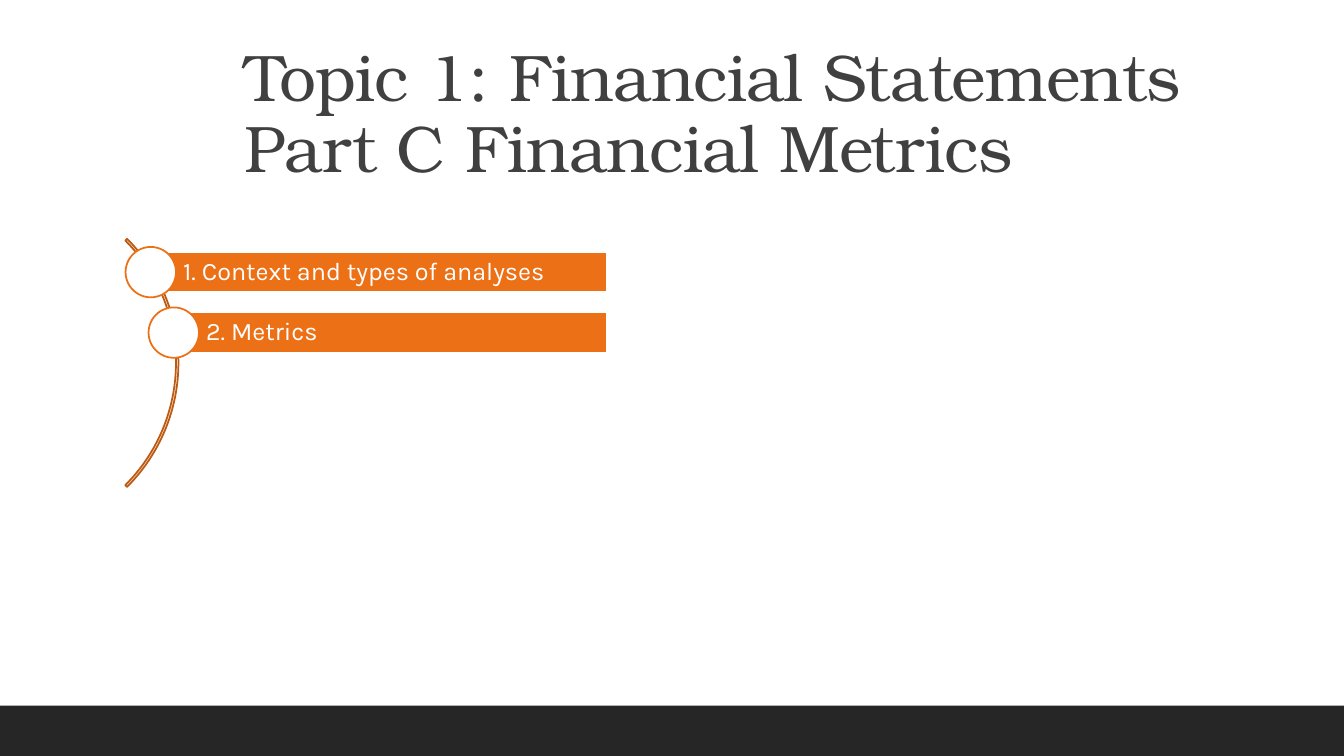
"""Build the agenda slide for Topic 1, Part C."""
from math import sqrt

from pptx import Presentation
from pptx.dml.color import RGBColor
from pptx.enum.shapes import MSO_SHAPE
from pptx.enum.text import MSO_ANCHOR, PP_ALIGN
from pptx.util import Inches, Pt

COLORS = {
    "footer": "262626",
    "title": "404040",
    "arc": "BD5A12",
    "bar": "EC7016",
    "white": "FFFFFF",
}
TITLE_FONT = "TeX Gyre Bonum"
BODY_FONT = "Karla"
TITLE_LINES = ["Topic 1: Financial Statements", "Part C Financial Metrics"]
TOPICS = ["1. Context and types of analyses", "2. Metrics"]

COLUMNS, ROWS = 133.3, 75
CELL = Inches(0.1)
ARC_X, ARC_Y, ARC_RADIUS, RAIL_RADIUS = 0.3, 36, 17.4, 17.2
FIRST_ROW, ROW_STEP = 27, 6
BAR_RIGHT, BAR_HEIGHT, MARKER_SIZE = 60.2, 4, 5


def grid(*cells):
    """Turn grid columns and rows into slide lengths."""
    return [round(cell * CELL) for cell in cells]


def color(name):
    """Look up a named colour."""
    return RGBColor.from_string(COLORS[name])


def add_figure(slide, preset, box, fill=None, line=None):
    """Add a flat preset shape with an optional fill and outline."""
    figure = slide.shapes.add_shape(preset, *grid(*box))
    figure.shadow.inherit = False
    if fill:
        figure.fill.solid()
        figure.fill.fore_color.rgb = color(fill)
    else:
        figure.fill.background()
    if line:
        figure.line.color.rgb = color(line)
        figure.line.width = Pt(1.25)
    else:
        figure.line.fill.background()
    return figure


def write_lines(frame, lines, anchor, font_name, size, ink):
    """Write lines into one left-aligned paragraph and return its runs."""
    frame.word_wrap = True
    frame.vertical_anchor = anchor
    paragraph = frame.paragraphs[0]
    paragraph.alignment = PP_ALIGN.LEFT
    paragraph.line_spacing = 0.9
    for index, line in enumerate(lines):
        if index:
            paragraph.add_line_break()
        run = paragraph.add_run()
        run.text = line
        run.font.name = font_name
        run.font.size = Pt(size)
        run.font.color.rgb = color(ink)
    return paragraph.runs


def add_title(slide):
    """Add the two-line title with slightly tightened letters."""
    title = slide.shapes.add_textbox(*grid(23.3, 3.1, 110, 15.9))
    runs = write_lines(title.text_frame, TITLE_LINES, MSO_ANCHOR.BOTTOM,
                       TITLE_FONT, 47, "title")
    for run in runs:
        run.font._element.set("spc", "-50")


def add_arc(slide):
    """Add the thin arc that the topic markers sit on."""
    box = (ARC_X - ARC_RADIUS, ARC_Y - ARC_RADIUS, 2 * ARC_RADIUS, 2 * ARC_RADIUS)
    arc = add_figure(slide, MSO_SHAPE.BLOCK_ARC, box, line="arc")
    for index, value in enumerate((189, 27, 0.007)):
        arc.adjustments[index] = value


def add_topic(slide, index, topic):
    """Add a topic bar and its round marker where the row meets the arc."""
    row = FIRST_ROW + index * ROW_STEP
    column = ARC_X + sqrt(RAIL_RADIUS ** 2 - (row - ARC_Y) ** 2)
    bar = add_figure(slide, MSO_SHAPE.RECTANGLE,
                     (column, row - BAR_HEIGHT / 2, BAR_RIGHT - column, BAR_HEIGHT),
                     "bar", "white")
    frame = bar.text_frame
    frame.margin_left, frame.margin_right = grid(3.2, 0.5)
    frame.margin_top, frame.margin_bottom = grid(0.5, 0.5)
    write_lines(frame, [topic], MSO_ANCHOR.MIDDLE, BODY_FONT, 18, "white")
    half = MARKER_SIZE / 2
    add_figure(slide, MSO_SHAPE.OVAL,
               (column - half, row - half, MARKER_SIZE, MARKER_SIZE), "white", "bar")


def main():
    """Assemble and save the slide."""
    deck = Presentation()
    deck.slide_width, deck.slide_height = grid(COLUMNS, ROWS)
    slide = deck.slides.add_slide(deck.slide_layouts[6])
    add_figure(slide, MSO_SHAPE.RECTANGLE, (0, ROWS - 5, COLUMNS, 5), "footer")
    add_title(slide)
    add_arc(slide)
    for index, topic in enumerate(TOPICS):
        add_topic(slide, index, topic)
    deck.save("out.pptx")


if __name__ == "__main__":
    main()
